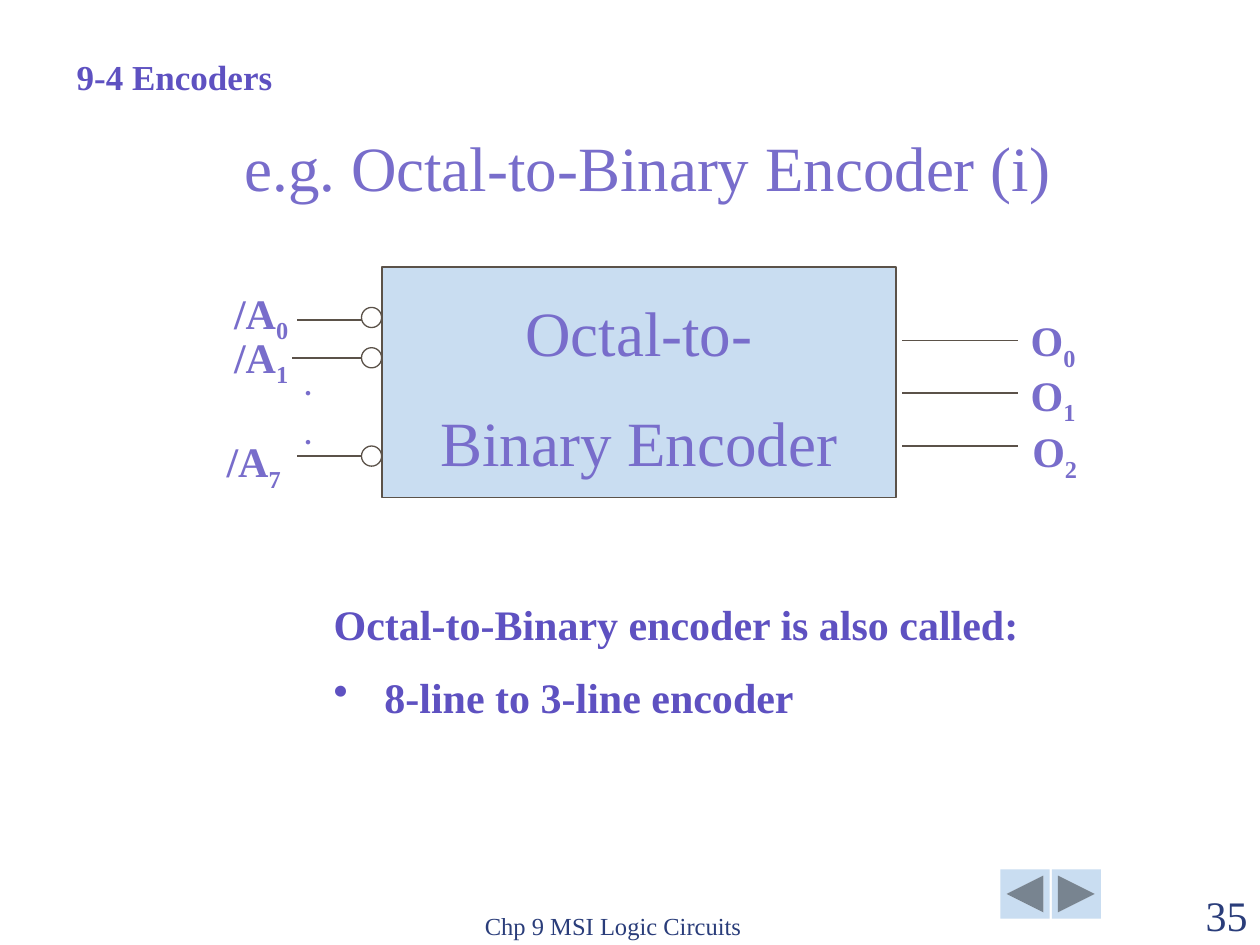
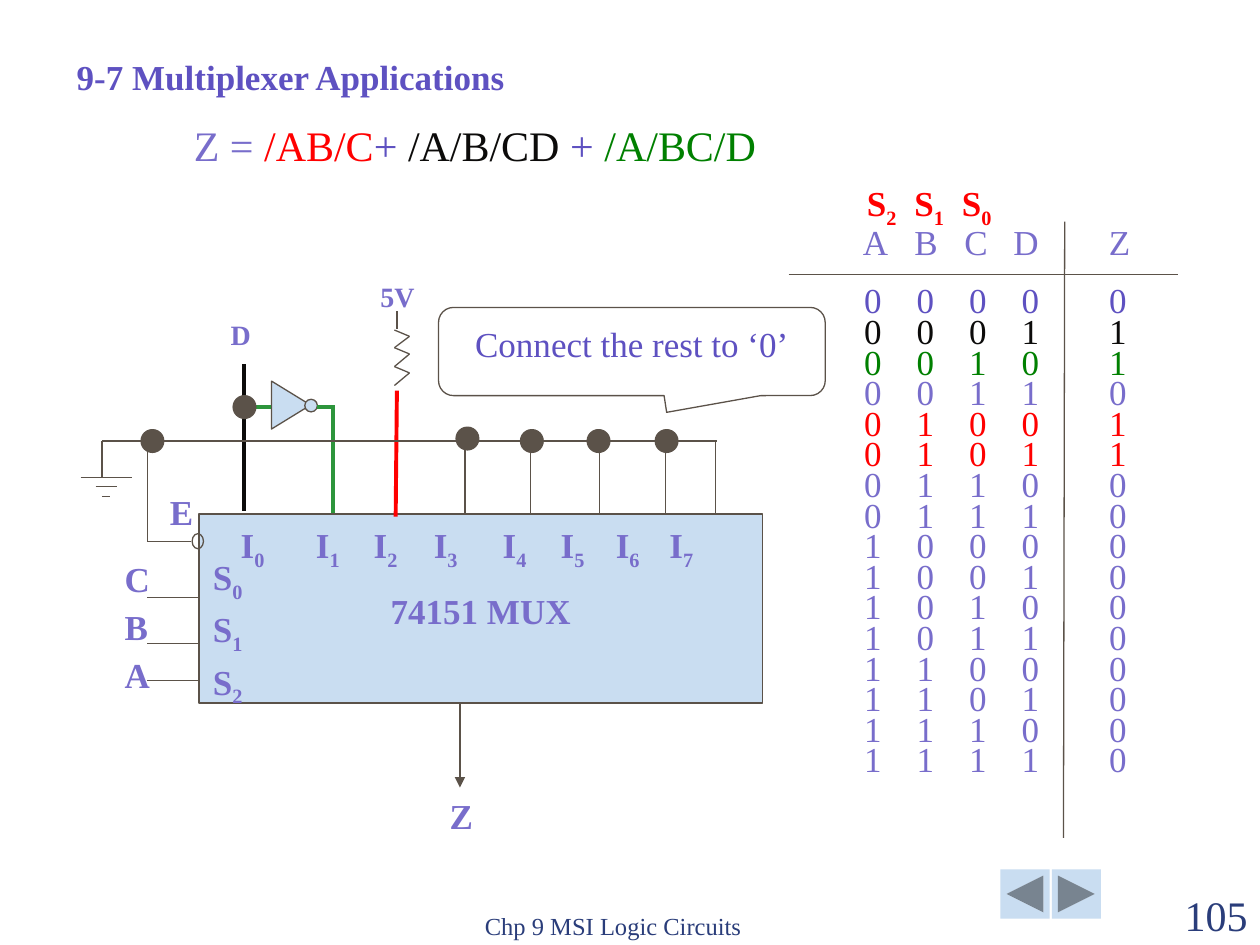
from dataclasses import dataclass
from itertools import pairwise, product
from typing import Optional, Sequence

from lxml import etree
from pptx import Presentation
from pptx.dml import color as dml
from pptx.enum import shapes, text
from pptx.oxml import ns
from pptx.util import Pt


@dataclass(frozen=True)
class Theme:
    font: str = "Times New Roman"
    indigo: str = "5E51C1"
    violet: str = "786DCB"
    navy: str = "2A3D7A"
    sky: str = "C9DDF1"
    brown: str = "5B5249"
    black: str = "0C0B0A"
    red: str = "FF0000"
    green: str = "008000"
    wire_green: str = "2D953C"
    white: str = "FFFFFF"
    title: int = 36
    large: int = 24
    body: int = 20
    small: int = 16
    footer: int = 14
    thin: float = 0.75
    arrow: float = 1.5
    thick: float = 2.25


THEME = Theme()
ALIGN = text.PP_ALIGN
ANCHOR = text.MSO_ANCHOR
SHAPE = shapes.MSO_SHAPE


@dataclass(frozen=True)
class Box:
    left: float
    top: float
    width: float
    height: float


@dataclass(frozen=True)
class Span:
    """Text in one colour; the character after each "_" is a subscript."""
    text: str
    color: str = THEME.violet


@dataclass(frozen=True)
class Style:
    size: int = THEME.body
    bold: bool = True
    align: ALIGN = ALIGN.LEFT
    anchor: ANCHOR = ANCHOR.TOP
    line_spacing: float = 1.0
    gap: float = 0.54  # space between paragraphs, as a share of the type size
    drop: float = 0.12  # extra top inset, as a share of the type size
    wrap: bool = True
    inset: tuple[float, float] = (7.2, 3.6)
    tabs: tuple[float, ...] = ()


LABEL = Style()
LOOSE_LABEL = Style(wrap=False)
PIN_LABEL = Style(size=THEME.large)
SMALL_LABEL = Style(size=THEME.small, align=ALIGN.CENTER)
Point = tuple[float, float]


def rgb(value: str) -> dml.RGBColor:
    return dml.RGBColor.from_string(value)


def add_run(paragraph, content: str, color: str, style: Style, subscript: bool = False) -> None:
    if not content:
        return
    run = paragraph.add_run()
    run.text = content
    run.font.name = THEME.font
    run.font.size = Pt(style.size)
    run.font.bold = style.bold
    run.font.color.rgb = rgb(color)
    if subscript:
        run._r.get_or_add_rPr().set("baseline", "-25000")


def add_tabs(paragraph, positions: Sequence[float]) -> None:
    tab_list = etree.SubElement(paragraph._p.get_or_add_pPr(), ns.qn("a:tabLst"))
    for position in positions:
        etree.SubElement(tab_list, ns.qn("a:tab"), pos=str(int(Pt(position))), algn="l")


def add_bullet(paragraph, indent: float) -> None:
    properties = paragraph._p.get_or_add_pPr()
    properties.set("marL", str(int(Pt(indent))))
    properties.set("indent", str(-int(Pt(indent))))
    etree.SubElement(properties, ns.qn("a:buChar"), char="•")


def write(frame, lines: Sequence[Sequence[Span]], style: Style) -> None:
    side, edge = style.inset
    frame.margin_left = frame.margin_right = Pt(side)
    frame.margin_top = Pt(round(edge + style.drop * style.size, 2))
    frame.margin_bottom = Pt(edge)
    frame.word_wrap = style.wrap
    frame.vertical_anchor = style.anchor
    for index, spans in enumerate(lines):
        paragraph = frame.add_paragraph() if index else frame.paragraphs[0]
        if style.tabs:
            add_tabs(paragraph, style.tabs)
        paragraph.alignment = style.align
        paragraph.line_spacing = style.line_spacing
        paragraph.space_before = Pt(style.gap * style.size if index else 0)
        for span in spans:
            first, *rest = span.text.split("_")
            add_run(paragraph, first, span.color, style)
            for part in rest:
                add_run(paragraph, part[0], span.color, style, subscript=True)
                add_run(paragraph, part[1:], span.color, style)


def add_text(slide, box: Box, lines: Sequence[Sequence[Span]], style: Style):
    shape = slide.shapes.add_textbox(Pt(box.left), Pt(box.top), Pt(box.width), Pt(box.height))
    write(shape.text_frame, lines, style)
    return shape


def add_label(slide, box: Box, content: str, style: Style = LABEL, color: str = THEME.violet):
    """Add text in one colour, one paragraph for each line of content."""
    return add_text(slide, box, [[Span(line, color)] for line in content.split("\n")], style)


def add_shape(slide, kind: SHAPE, box: Box, fill: Optional[str] = None,
              line: Optional[str] = THEME.brown, rotation: float = 0):
    shape = slide.shapes.add_shape(kind, Pt(box.left), Pt(box.top), Pt(box.width), Pt(box.height))
    shape.shadow.inherit = False
    shape.rotation = rotation
    if fill:
        shape.fill.solid()
        shape.fill.fore_color.rgb = rgb(fill)
    else:
        shape.fill.background()
    if line:
        shape.line.color.rgb = rgb(line)
        shape.line.width = Pt(THEME.thin)
    else:
        shape.line.fill.background()
    return shape


def add_wire(slide, *points: Point, color: str = THEME.brown, width: float = THEME.thin,
             arrow: bool = False) -> None:
    """Join the points with straight connectors."""
    for (x1, y1), (x2, y2) in pairwise(points):
        connector = slide.shapes.add_connector(
            shapes.MSO_CONNECTOR.STRAIGHT, Pt(x1), Pt(y1), Pt(x2), Pt(y2))
        connector.line.color.rgb = rgb(color)
        connector.line.width = Pt(width)
        properties = connector._element.spPr
        if arrow:
            etree.SubElement(properties.find(ns.qn("a:ln")), ns.qn("a:tailEnd"), type="triangle")
        etree.SubElement(properties, ns.qn("a:effectLst"))


def add_junction(slide, left: float, top: float) -> None:
    add_shape(slide, SHAPE.OVAL, Box(left, top, 13, 13), THEME.brown)


def start_slide(presentation, heading: str, heading_width: float, number: int):
    """Add a blank slide with the buttons, footer, page number and section heading."""
    slide = presentation.slides.add_slide(presentation.slide_layouts[6])
    buttons = (SHAPE.ACTION_BUTTON_BACK_OR_PREVIOUS, SHAPE.ACTION_BUTTON_FORWARD_OR_NEXT)
    for index, kind in enumerate(buttons):
        add_shape(slide, kind, Box(571.7 + 29.3 * index, 496.8, 28.1, 28.1), THEME.sky, None)
    add_label(slide, Box(270, 504.7, 228.2, 36), "Chp 9 MSI Logic Circuits",
              Style(THEME.footer, bold=False, anchor=ANCHOR.BOTTOM), THEME.navy)
    add_label(slide, Box(648, 504.7, 72, 36), str(number),
              Style(THEME.large, bold=False, align=ALIGN.RIGHT, anchor=ANCHOR.BOTTOM), THEME.navy)
    add_label(slide, Box(36.7, 25.9, heading_width, 31), heading, color=THEME.indigo)
    return slide


def build_encoder_slide(presentation) -> None:
    slide = start_slide(presentation, "9-4 Encoders", 132.5, 35)
    add_label(slide, Box(64.1, 71.3, 612, 47.5), "e.g. Octal-to-Binary Encoder (i)",
              Style(THEME.title, bold=False, align=ALIGN.CENTER, anchor=ANCHOR.BOTTOM,
                    line_spacing=0.7))
    encoder = add_shape(slide, SHAPE.RECTANGLE, Box(218.2, 152.6, 293.8, 131.8), THEME.sky)
    write(encoder.text_frame, [[Span("Octal-to-")], [Span("Binary Encoder")]],
          Style(THEME.title, bold=False, align=ALIGN.CENTER, anchor=ANCHOR.MIDDLE, wrap=False))

    for wire_left, wire_y, bubble_top in ((169.9, 182.9, 175.7), (167, 204.5, 198.7),
                                          (169.9, 260.6, 254.9)):
        add_wire(slide, (wire_left, wire_y), (206.6, wire_y))
        add_shape(slide, SHAPE.OVAL, Box(206.6, bubble_top, 11.5, 11.5))
    for index in range(3):
        wire_y = 194.4 + 30.24 * index
        add_wire(slide, (515.5, wire_y), (581.8, wire_y))

    add_label(slide, Box(126.7, 157.7, 52.6, 36), "/A_0", PIN_LABEL)
    add_label(slide, Box(126.7, 182.9, 50.4, 36), "/A_1", PIN_LABEL)
    add_label(slide, Box(122.4, 242.6, 46.8, 36), "/A_7", Style(THEME.large, wrap=False))
    add_label(slide, Box(167, 204.5, 18.7, 55.4), ".\n.", Style(THEME.small, wrap=False))
    add_label(slide, Box(581.8, 173.5, 41.8, 36), "O_0", PIN_LABEL)
    add_label(slide, Box(581.8, 204.5, 41.8, 36), "O_1", PIN_LABEL)
    add_label(slide, Box(581.8, 240.5, 41.8, 28.8), "O_2",
              Style(THEME.large, align=ALIGN.CENTER, inset=(0, 0)))

    note = add_label(slide, Box(183.6, 335.5, 417.6, 79.2),
                     "Octal-to-Binary encoder is also called:\n8-line to 3-line encoder",
                     PIN_LABEL, THEME.indigo)
    add_bullet(note.text_frame.paragraphs[1], 29)


def draw_multiplexer(slide) -> None:
    mux = add_shape(slide, SHAPE.RECTANGLE, Box(113.8, 293.8, 321.8, 108), THEME.sky)
    write(mux.text_frame, [[Span("74151 MUX")]],
          Style(align=ALIGN.CENTER, anchor=ANCHOR.MIDDLE, wrap=False))
    add_shape(slide, SHAPE.OVAL, Box(108.7, 306, 8.6, 6.5), rotation=90)
    for select_y in (341.3, 367.9, 388.8):
        add_wire(slide, (113.8, select_y), (84.2, select_y))
    add_wire(slide, (262.8, 402.5), (262.8, 450), width=THEME.arrow, arrow=True)
    add_label(slide, Box(249.8, 447.8, 28.1, 31), "Z", LOOSE_LABEL)
    add_label(slide, Box(90, 274.3, 28.1, 31), "E", LOOSE_LABEL)
    add_label(slide, Box(130.5, 293, 302.9, 31), "\t".join(f"I_{pin}" for pin in range(8)),
              Style(tabs=(43, 76, 110.3, 149.7, 182.8, 214.3, 245)))
    add_label(slide, Box(114.5, 316.1, 32.4, 81.4), "S_0\nS_1\nS_2", Style(line_spacing=0.7))
    add_label(slide, Box(64.1, 319, 28.8, 81.4), "C\nB\nA", Style(line_spacing=0.7, wrap=False))


def draw_input_wiring(slide) -> None:
    add_wire(slide, (226.8, 223.2), (226.1, 295.2), color=THEME.red, width=THEME.thick)
    resistor = [(234 if index % 2 else 225.4, y) for index, y in
                enumerate((188.6, 192.2, 198.7, 202.3, 209.5, 213.1, 220.3))]
    add_wire(slide, *resistor)
    add_wire(slide, (226.8, 187.9), (226.8, 177.8))
    add_label(slide, Box(209.5, 154.1, 35.3, 26.6), "5V", SMALL_LABEL)

    add_wire(slide, (139.7, 208.1), (139.7, 292.3), color=THEME.black, width=THEME.thick)
    add_label(slide, Box(121, 175.7, 33.1, 26.6), "D", SMALL_LABEL)
    add_shape(slide, SHAPE.ISOSCELES_TRIANGLE, Box(152.6, 220.3, 27.4, 22.3), THEME.sky,
              rotation=90)
    add_shape(slide, SHAPE.OVAL, Box(174.2, 228.2, 7.2, 7.2), THEME.sky)
    for start, end in (((140.4, 232.6), (154.8, 232.6)), ((181.4, 232.6), (191.5, 232.6)),
                       ((190.1, 233.3), (190.1, 293))):
        add_wire(slide, start, end, color=THEME.wire_green, width=THEME.thick)
    add_junction(slide, 133.2, 226.1)


def draw_ground_bus(slide) -> None:
    add_wire(slide, (409.7, 252), (83.5, 252))
    for drop_x in (265.7, 303.1, 342.7, 380.2, 409):
        add_wire(slide, (drop_x, 252), (drop_x, 294))
    add_junction(slide, 260.6, 244.1)
    for left in (80.6, 297.4, 335.5, 374.4):
        add_junction(slide, left, 245.5)
    add_wire(slide, (109.4, 309.6), (84.2, 309.6), (84.2, 252), (58.3, 252), (58.3, 272.9))
    for left, right, y in ((46.1, 75.6, 272.9), (54.7, 67, 277.9), (58.3, 62.6, 283.7)):
        add_wire(slide, (left, y), (right, y))


def draw_truth_table(slide) -> None:
    add_label(slide, Box(488.2, 97.9, 92.9, 31), "S_2\tS_1\tS_0", Style(tabs=(27.2, 54.4)),
              THEME.red)
    add_wire(slide, (450.7, 157), (673.2, 157))
    add_wire(slide, (608.4, 126.7), (607.7, 478.8))
    add_label(slide, Box(486, 130.3, 187.2, 19.4), "A\tB\tC\tD\tZ",
              Style(bold=False, line_spacing=0.5, tabs=(29.5, 58, 86, 140.5)))
    true_rows = {1: THEME.black, 2: THEME.green, 4: THEME.red, 5: THEME.red}
    colors = {0: THEME.indigo, **true_rows}
    rows = [[Span("\t".join(map(str, (*bits, int(index in true_rows)))),
                  colors.get(index, THEME.violet))]
            for index, bits in enumerate(product((0, 1), repeat=4))]
    add_text(slide, Box(486.7, 165.6, 182.2, 303.1), rows,
             Style(bold=False, line_spacing=0.3, gap=0.515, drop=0.22, tabs=(30, 60, 90, 140)))


def build_multiplexer_slide(presentation) -> None:
    slide = start_slide(presentation, "9-7 Multiplexer Applications", 260.6, 105)
    formula = [Span("Z = "), Span("/AB/C", THEME.red), Span("+ ", THEME.indigo),
               Span("/A/B/CD", THEME.black), Span(" + ", THEME.indigo),
               Span("/A/BC/D", THEME.green)]
    add_text(slide, Box(103.7, 69.8, 335.5, 27.4), [formula],
             Style(THEME.large, bold=False, line_spacing=0.7, wrap=False))
    draw_multiplexer(slide)
    draw_input_wiring(slide)
    draw_ground_bus(slide)
    draw_truth_table(slide)
    callout = add_shape(slide, SHAPE.ROUNDED_RECTANGULAR_CALLOUT,
                        Box(250.6, 175.7, 221, 50.4), THEME.white)
    for index, value in enumerate((0.09, 0.69, 0.17)):
        callout.adjustments[index] = value
    write(callout.text_frame, [[Span("Connect the rest to ‘0’", THEME.indigo)]],
          Style(bold=False, align=ALIGN.CENTER))


def main() -> None:
    presentation = Presentation()
    presentation.slide_width, presentation.slide_height = Pt(720), Pt(540)
    build_encoder_slide(presentation)
    build_multiplexer_slide(presentation)
    presentation.save("out.pptx")


if __name__ == "__main__":
    main()
